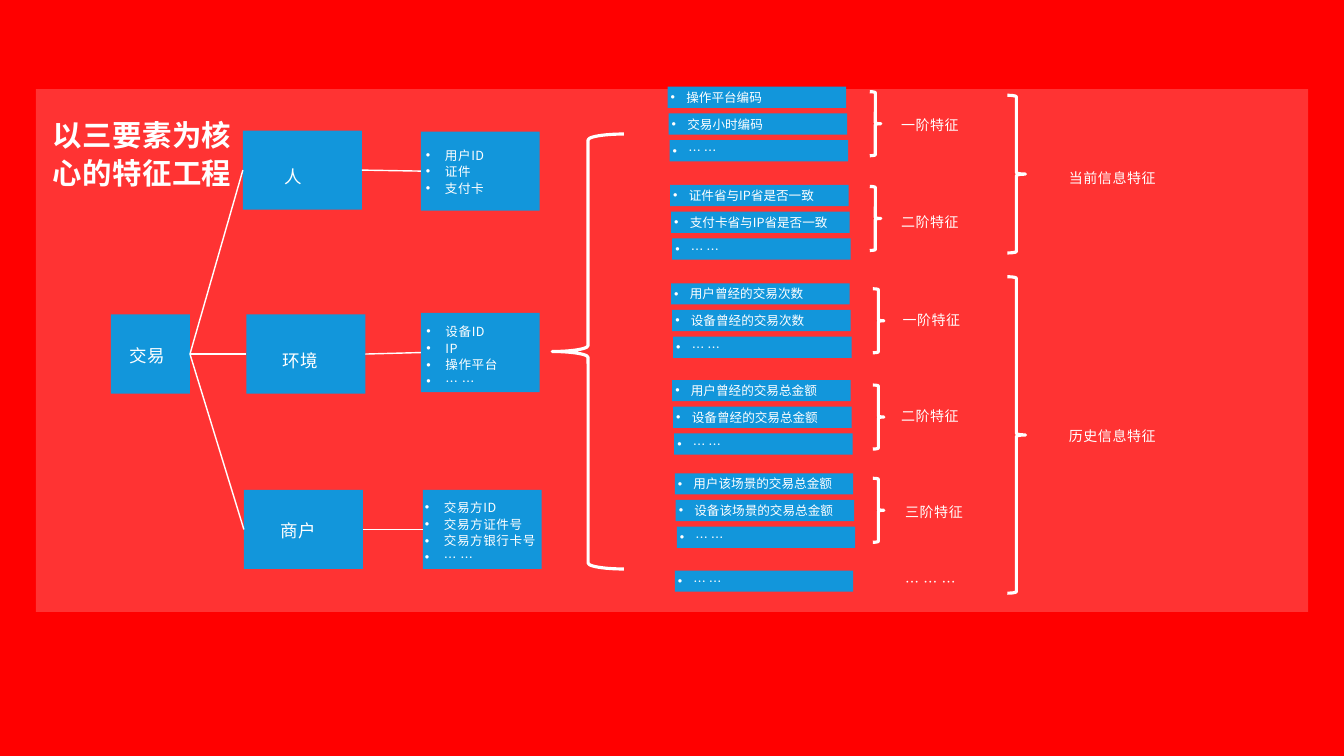
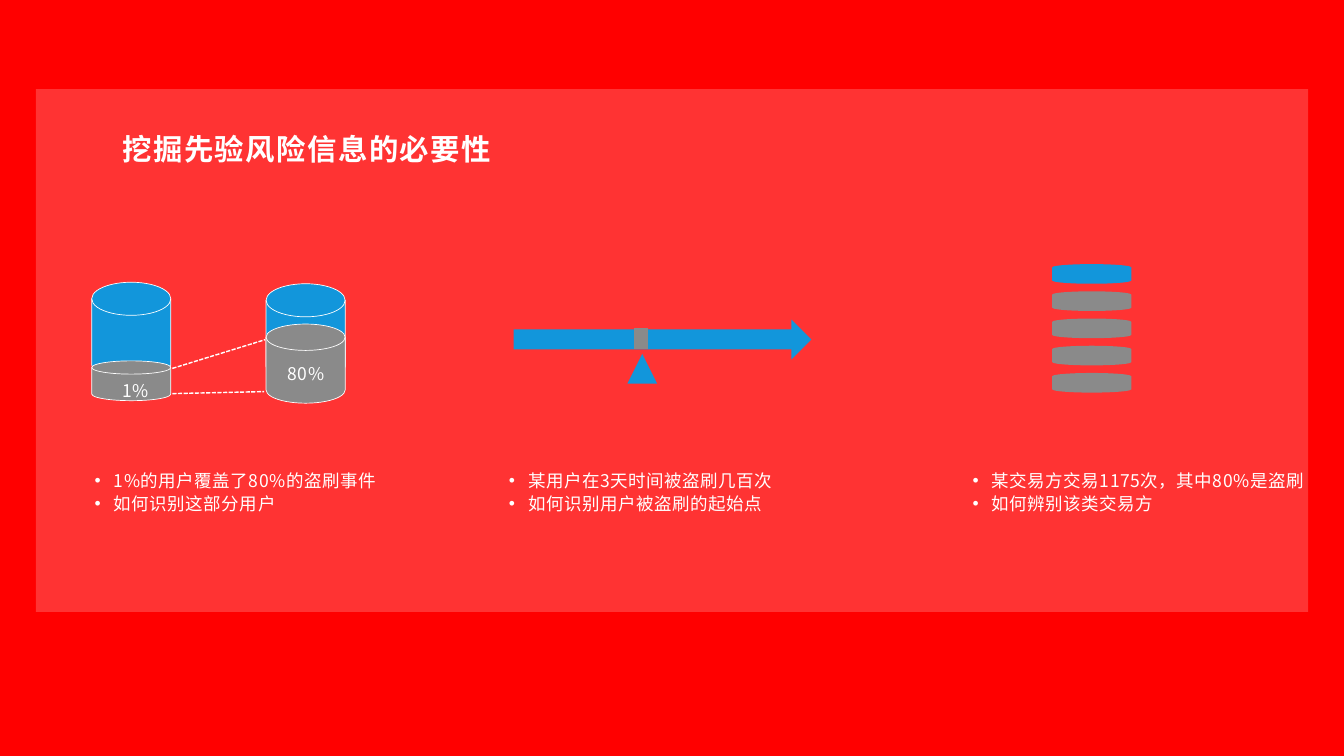
from dataclasses import dataclass

from lxml import etree
from pptx import Presentation
from pptx.dml.color import RGBColor
from pptx.enum.dml import MSO_LINE
from pptx.enum.shapes import MSO_CONNECTOR, MSO_SHAPE
from pptx.enum.text import MSO_ANCHOR, MSO_AUTO_SIZE, PP_ALIGN
from pptx.oxml.ns import qn
from pptx.util import Inches, Pt

RED = RGBColor(0xFF, 0x00, 0x00)
WHITE = RGBColor(0xFF, 0xFF, 0xFF)
BLUE = RGBColor(0x12, 0x96, 0xDB)
GREY = RGBColor(0x8A, 0x8A, 0x8A)
FONT = "Noto Sans CJK SC"

RECTANGLE = MSO_SHAPE.RECTANGLE
DISK = MSO_SHAPE.FLOWCHART_MAGNETIC_DISK
ARROW = MSO_SHAPE.RIGHT_ARROW
MINUS = MSO_SHAPE.MATH_MINUS
TRIANGLE = MSO_SHAPE.ISOSCELES_TRIANGLE
LEFT_BRACE = MSO_SHAPE.LEFT_BRACE
RIGHT_BRACE = MSO_SHAPE.RIGHT_BRACE
STRAIGHT = MSO_CONNECTOR.STRAIGHT
DASHED = MSO_LINE.SQUARE_DOT
MIDDLE = MSO_ANCHOR.MIDDLE
LEFT, CENTER = PP_ALIGN.LEFT, PP_ALIGN.CENTER
NO_AUTOFIT = MSO_AUTO_SIZE.NONE
LEFT_SIDE, RIGHT_SIDE = 1, 3
TITLE_ONLY = 5
MORE = "… …"


@dataclass
class Box:
    """A region in inches."""
    left: float
    top: float
    width: float
    height: float

    def inside(self, left, top, width, height):
        return Box(self.left + left, self.top + top, width, height)

    def lengths(self):
        return [Inches(round(value, 2)) for value in
                (self.left, self.top, self.width, self.height)]


# Shared building blocks
def write(shape, lines, size, indent=0, spacing=1.1, tracking=0.8,
          bold=False, align=LEFT):
    """Fill a shape with lines, bulleted when an indent is given."""
    frame = shape.text_frame
    frame.word_wrap = True
    frame.auto_size = NO_AUTOFIT
    frame.vertical_anchor = MIDDLE
    frame.margin_left = frame.margin_right = Inches(0.06)
    frame.margin_top = frame.margin_bottom = Inches(0.06)
    for index, line in enumerate(lines):
        para = frame.paragraphs[0] if index == 0 else frame.add_paragraph()
        if indent:
            properties = para._p.get_or_add_pPr()
            properties.set("marL", str(Inches(indent)))
            properties.set("indent", str(-Inches(indent)))
            etree.SubElement(properties, qn("a:buFont"), typeface="Arial")
            etree.SubElement(properties, qn("a:buChar"), char="•")
        para.alignment = align
        para.line_spacing = spacing
        span = para.add_run()
        span.text = line
        span.font.size = Pt(size)
        span.font.bold = bold
        span.font.color.rgb = WHITE
        span.font.name = FONT
        run_properties = span._r.get_or_add_rPr()
        run_properties.set("spc", str(round(tracking * 100)))
        run_properties.find(qn("a:latin")).addnext(
            etree.Element(qn("a:ea"), typeface=FONT))


def add_text(page, box, lines, size, indent=0):
    write(page.shapes.add_textbox(*box.lengths()), lines, size, indent)


def add_figure(page, kind, box, fill=None, line_width=0):
    shape = page.shapes.add_shape(kind, *box.lengths())
    shape.shadow.inherit = False
    if fill is None:
        shape.fill.background()
    else:
        shape.fill.solid()
        shape.fill.fore_color.rgb = fill
    if line_width:
        shape.line.color.rgb = WHITE
        shape.line.width = Pt(line_width)
    else:
        shape.line.fill.background()
    return shape


def add_brace(page, kind, box):
    add_figure(page, kind, box, line_width=4.5)


def add_line(page, start, end, dash=None):
    line = page.shapes.add_connector(
        STRAIGHT, *[Inches(round(value, 2)) for value in (*start, *end)])
    line.line.color.rgb = WHITE
    line.line.width = Pt(2)
    if dash is not None:
        line.line.dash_style = dash
    etree.SubElement(line._element.spPr, qn("a:effectLst"))
    return line


def join(page, source, target):
    line = add_line(page, (0, 0), (1, 1))
    line.begin_connect(source, RIGHT_SIDE)
    line.end_connect(target, LEFT_SIDE)


def add_page(deck, title, title_box, **title_style):
    """Add a slide with the translucent panel and its title."""
    page = deck.slides.add_slide(deck.slide_layouts[TITLE_ONLY])
    panel = add_figure(page, RECTANGLE, Box(0.71, 1.77, 25.25, 10.37), WHITE)
    color = panel._element.spPr.find(qn("a:solidFill")).find(qn("a:srgbClr"))
    etree.SubElement(color, qn("a:alpha"), val="20000")
    heading = page.shapes.title
    panel._element.addnext(heading._element)
    heading.left, heading.top, heading.width, heading.height = title_box.lengths()
    write(heading, [title], 42, bold=True, **title_style)
    return page


# Slide 1: features built on the three elements
def element_tree(page, box):
    root = add_figure(page, RECTANGLE, box.inside(0, 3.65, 1.57, 1.57), BLUE)
    add_text(page, box.inside(0.32, 4.15, 0.93, 0.58), ["交易"], 25)

    # name, (left, top) of node, of name, of detail node, of detail list, details
    branches = [
        ("人", (2.62, 0), (3.39, 0.61), (6.15, 0.02), (6.19, 0.24),
         ["用户ID", "证件", "支付卡"]),
        ("环境", (2.69, 3.65), (3.35, 4.25), (6.15, 3.62), (6.2, 3.74),
         ["设备ID", "IP", "操作平台", MORE]),
        ("商户", (2.64, 7.13), (3.31, 7.63), (6.19, 7.13), (6.17, 7.23),
         ["交易方ID", "交易方证件号", "交易方银行卡号", MORE]),
    ]
    for name, node_at, name_at, detail_at, list_at, details in branches:
        node = add_figure(page, RECTANGLE, box.inside(*node_at, 2.36, 1.57), BLUE)
        detail = add_figure(page, RECTANGLE,
                            box.inside(*detail_at, 2.36, 1.57), BLUE)
        join(page, root, node)
        join(page, node, detail)
        add_text(page, box.inside(*name_at, 1.25, 0.58), [name], 25)
        list_height = 0.1 + 0.34 * len(details)
        add_text(page, box.inside(*list_at, 2.56, list_height), details, 18, 0.38)


def feature_rows(page, box, names):
    for index, name in enumerate(names):
        row = add_figure(page, RECTANGLE, box.inside(
            0.02 * index, 0.53 * index, 3.54, 0.42), BLUE)
        write(row, [name], 18, indent=0.31, spacing=1.0, tracking=0)


def feature_groups(page, box):
    # left, top, brace (left, top), label (left, top), label, row names
    groups = [
        (0, 0, (4.01, 0.1), (4.57, 0.51), "一阶特征",
         ["操作平台编码", "交易小时编码", MORE]),
        (0.05, 1.95, (4.01, 1.98), (4.57, 2.42), "二阶特征",
         ["证件省与IP省是否一致", "支付卡省与IP省是否一致", MORE]),
        (0.07, 3.9, (4.07, 4.01), (4.6, 4.38), "一阶特征",
         ["用户曾经的交易次数", "设备曾经的交易次数", MORE]),
        (0.09, 5.82, (4.07, 5.92), (4.57, 6.27), "二阶特征",
         ["用户曾经的交易总金额", "设备曾经的交易总金额", MORE]),
        (0.14, 7.67, (4.07, 7.77), (4.65, 8.19), "三阶特征",
         ["用户该场景的交易总金额", "设备该场景的交易总金额", MORE]),
        (0.14, 9.6, None, (4.65, 9.57), "… … …", [MORE]),
    ]
    for left, top, brace_at, label_at, label, names in groups:
        feature_rows(page, box.inside(left, top, 3.54, 1.48), names)
        if brace_at:
            add_brace(page, RIGHT_BRACE, box.inside(*brace_at, 0.22, 1.27))
        add_text(page, box.inside(*label_at, 1.37, 0.48), [label], 20)


def feature_families(page, box):
    families = [("当前信息特征", 0, 3.13, 1.38), ("历史信息特征", 3.6, 6.28, 6.5)]
    for name, top, height, label_top in families:
        add_brace(page, RIGHT_BRACE, box.inside(0, top, 0.36, height))
        add_text(page, box.inside(1.16, label_top, 2.03, 0.48), [name], 20)


def feature_page(deck):
    page = add_page(deck, "以三要素为核心的特征工程", Box(0.98, 2.18, 3.77, 1.67))
    element_tree(page, Box(2.2, 2.59, 8.73, 8.7))
    add_brace(page, LEFT_BRACE, Box(10.96, 2.66, 1.42, 8.63))
    feature_groups(page, Box(13.25, 1.72, 5.99, 10.05))
    feature_families(page, Box(19.99, 1.89, 3.2, 9.88))


# Slide 2: why prior risk information matters
def user_share(page, box):
    """Two cylinders: a small share of users, a large share of events."""
    cylinders = [
        (0, 0, 1.97, BLUE), (0, 1.56, 0.79, GREY),
        (3.46, 0.03, 1.97, BLUE), (3.46, 0.83, 1.57, GREY),
    ]
    for left, top, height, color in cylinders:
        add_figure(page, DISK, box.inside(left, top, 1.57, height), color, 1)
    for start_top, end_left, end_top in [(1.71, 3.44, 1.14), (2.21, 3.42, 2.17)]:
        add_line(page, (box.left + 1.6, box.top + start_top),
                 (box.left + end_left, box.top + end_top), DASHED)
    for left, top, share in [(0.55, 1.83, "1%"), (3.83, 1.49, "80%")]:
        add_text(page, box.inside(left, top, 0.87, 0.58), [share], 25)


def time_line(page, box):
    """An arrow of time with the starting point marked."""
    add_figure(page, ARROW, box.inside(0, 0.5, 5.91, 0.79), BLUE)
    add_figure(page, MINUS, box.inside(2.33, 0, 0.39, 1.77), GREY)
    add_figure(page, TRIANGLE, box.inside(2.26, 1.18, 0.59, 0.59), BLUE)


def trade_stack(page, box):
    """Five layers, four of them fraudulent."""
    for index, color in enumerate([BLUE] + [GREY] * 4):
        add_figure(page, DISK, box.inside(0, 0.54 * index, 1.57, 0.39), color)


def prior_risk_page(deck):
    page = add_page(deck, "挖掘先验风险信息的必要性", Box(0.96, 2.3, 10.26, 1.29),
                    spacing=1.0, tracking=2.1, align=CENTER)
    user_share(page, Box(1.82, 5.6, 5.03, 2.41))
    time_line(page, Box(10.19, 5.84, 5.91, 1.77))
    trade_stack(page, Box(20.88, 5.24, 1.57, 2.56))
    findings = [
        (1.82, 6.48, ["1%的用户覆盖了80%的盗刷事件", "如何识别这部分用户"]),
        (10.04, 5.76, ["某用户在3天时间被盗刷几百次", "如何识别用户被盗刷的起始点"]),
        (19.24, 6.97, ["某交易方交易1175次，其中80%是盗刷", "如何辨别该类交易方"]),
    ]
    for left, width, lines in findings:
        add_text(page, Box(left, 9.22, width, 1.04), lines, 25, 0.38)


def main():
    deck = Presentation()
    deck.slide_width, deck.slide_height = Inches(26.67), Inches(15)
    background = deck.slide_master.background.fill
    background.solid()
    background.fore_color.rgb = RED
    feature_page(deck)
    prior_risk_page(deck)
    deck.save("out.pptx")


if __name__ == "__main__":
    main()
